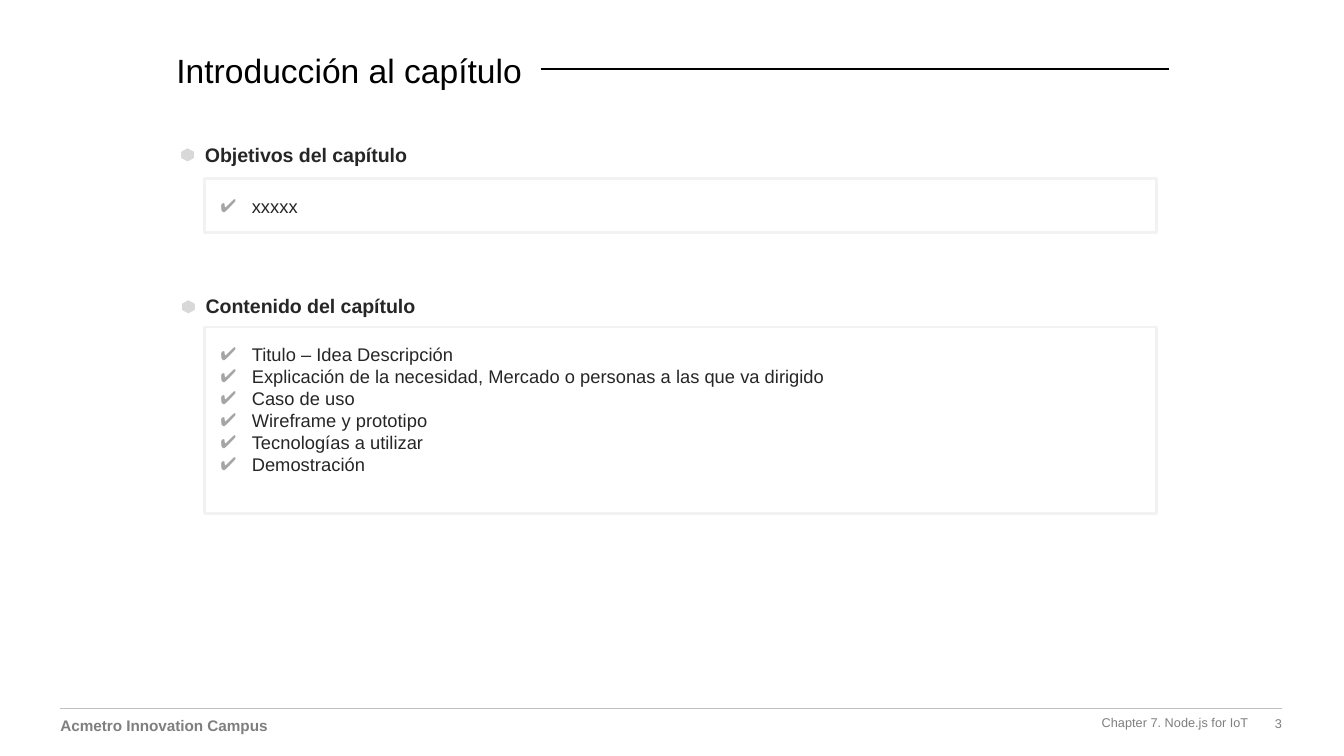
from lxml.etree import SubElement
from pptx import Presentation
from pptx.dml.color import RGBColor
from pptx.enum.shapes import MSO_CONNECTOR
from pptx.enum.text import MSO_ANCHOR as Anchor, MSO_AUTO_SIZE as AutoSize, PP_ALIGN as Align
from pptx.oxml.ns import qn
from pptx.util import Pt

TITLE = "Introducción al capítulo"
# heading, heading left, heading top, box top, box height, items
SECTIONS = [
    ("Objetivos del capítulo", 109.8, 76.3, 95.8, 28.8, ["xxxxx"]),
    ("Contenido del capítulo", 110.2, 157.7, 175.2, 100, [
        "Titulo – Idea Descripción",
        "Explicación de la necesidad, Mercado o personas a las que va dirigido",
        "Caso de uso",
        "Wireframe y prototipo",
        "Tecnologías a utilizar",
        "Demostración",
    ]),
]
# text, left, top, width, height, size, bold, alignment, anchor
FOOTER = [
    ("3", 642.2, 383.8, 44.6, 7.9, 6.8, False, Align.RIGHT, Anchor.MIDDLE),
    ("Acmetro Innovation Campus", 32.4, 383.8, 210, 10, 8.2, True, Align.LEFT, Anchor.TOP),
    ("Chapter 7. Node.js for IoT", 277.2, 383, 391.7, 7.9, 6.8, False, Align.RIGHT, Anchor.MIDDLE),
]
BOX_LEFT, BOX_WIDTH, BOX_INSET = 109.5, 510, 8.6
HEXAGON_WIDTH, HEXAGON_HEIGHT = 13, 14
INDENT = 16.8
DARK, GREY = "262626", "7F7F7F"


def color(hex_code):
    return RGBColor.from_string(hex_code)


def place(shape, left, top, width, height):
    shape.left, shape.top = Pt(left), Pt(top)
    shape.width, shape.height = Pt(width), Pt(height)


def write(shape, lines, size, ink, bold=False, align=Align.LEFT, anchor=Anchor.TOP, inset=0):
    """Fill the shape with one paragraph per line and return the paragraphs."""
    frame = shape.text_frame
    frame.word_wrap, frame.auto_size, frame.vertical_anchor = True, AutoSize.NONE, anchor
    frame.margin_left = frame.margin_right = Pt(inset)
    frame.margin_top = frame.margin_bottom = Pt(inset)
    for index, line in enumerate(lines):
        paragraph = frame.add_paragraph() if index else frame.paragraphs[0]
        paragraph.alignment = align
        paragraph.space_before = paragraph.space_after = Pt(0)
        run = paragraph.add_run()
        run.text = line
        run.font.name, run.font.size, run.font.bold = "Arial", Pt(size), bold
        run.font.color.rgb = color(ink)
    return frame.paragraphs


def add_text(slide, text, left, top, width, height, size, ink, **style):
    box = slide.shapes.add_textbox(Pt(left), Pt(top), Pt(width), Pt(height))
    write(box, [text], size, ink, **style)


def add_rule(slide, left, right, y, ink, weight):
    rule = slide.shapes.add_connector(MSO_CONNECTOR.STRAIGHT, Pt(left), Pt(y), Pt(right), Pt(y))
    rule.line.color.rgb, rule.line.width = color(ink), Pt(weight)
    SubElement(rule._element.spPr, qn("a:effectLst"))


def add_check(paragraph):
    properties = paragraph._p.get_or_add_pPr()
    properties.set("marL", str(Pt(INDENT)))
    properties.set("indent", str(-Pt(INDENT)))
    bullet_color = SubElement(properties, qn("a:buClr"))
    SubElement(bullet_color, qn("a:srgbClr"), val="A5A5A5")
    SubElement(properties, qn("a:buFont"), typeface="Arial")
    SubElement(properties, qn("a:buChar"), char="✔")


def add_hexagon(slide, left, top):
    """Upright hexagon whose thick white outline leaves a small grey core."""
    corners = [(0.5, 0), (1, 0.25), (1, 0.75), (0.5, 1), (0, 0.75), (0, 0.25)]
    points = [(Pt(left + x * HEXAGON_WIDTH), Pt(top + y * HEXAGON_HEIGHT)) for x, y in corners]
    builder = slide.shapes.build_freeform(*points[0])
    builder.add_line_segments(points[1:], close=True)
    hexagon = builder.convert_to_shape()
    hexagon.shadow.inherit = False
    hexagon.fill.solid()
    hexagon.fill.fore_color.rgb = color("D8D8D8")
    hexagon.line.color.rgb, hexagon.line.width = color("FFFFFF"), Pt(6)


def add_section(slide, body, heading, left, top, box_top, box_height, items):
    place(body, BOX_LEFT, box_top, BOX_WIDTH, box_height)
    body.line.color.rgb, body.line.width = color("F2F2F2"), Pt(1.5)
    for paragraph in write(body, items, 9.8, DARK, inset=BOX_INSET):
        add_check(paragraph)
    add_text(slide, heading, left, top, BOX_WIDTH, 13, 10.5, DARK, bold=True)
    add_hexagon(slide, left - 15.8, top - 0.3)


def main():
    presentation = Presentation()
    presentation.slide_width, presentation.slide_height = Pt(720), Pt(405)
    slide = presentation.slides.add_slide(presentation.slide_layouts[3])
    title, *bodies = slide.placeholders

    place(title, 94.5, 26.8, 518.4, 21.6)
    write(title, [TITLE], 18, "000000")
    add_rule(slide, 289.7, 626.2, 37.2, "000000", 1)

    for body, section in zip(bodies, SECTIONS):
        add_section(slide, body, *section)

    add_rule(slide, 32.4, 687, 379.6, "BFBFBF", 0.75)
    for text, left, top, width, height, size, bold, align, anchor in FOOTER:
        add_text(slide, text, left, top, width, height, size, GREY,
                 bold=bold, align=align, anchor=anchor)
    presentation.save("out.pptx")


if __name__ == "__main__":
    main()
